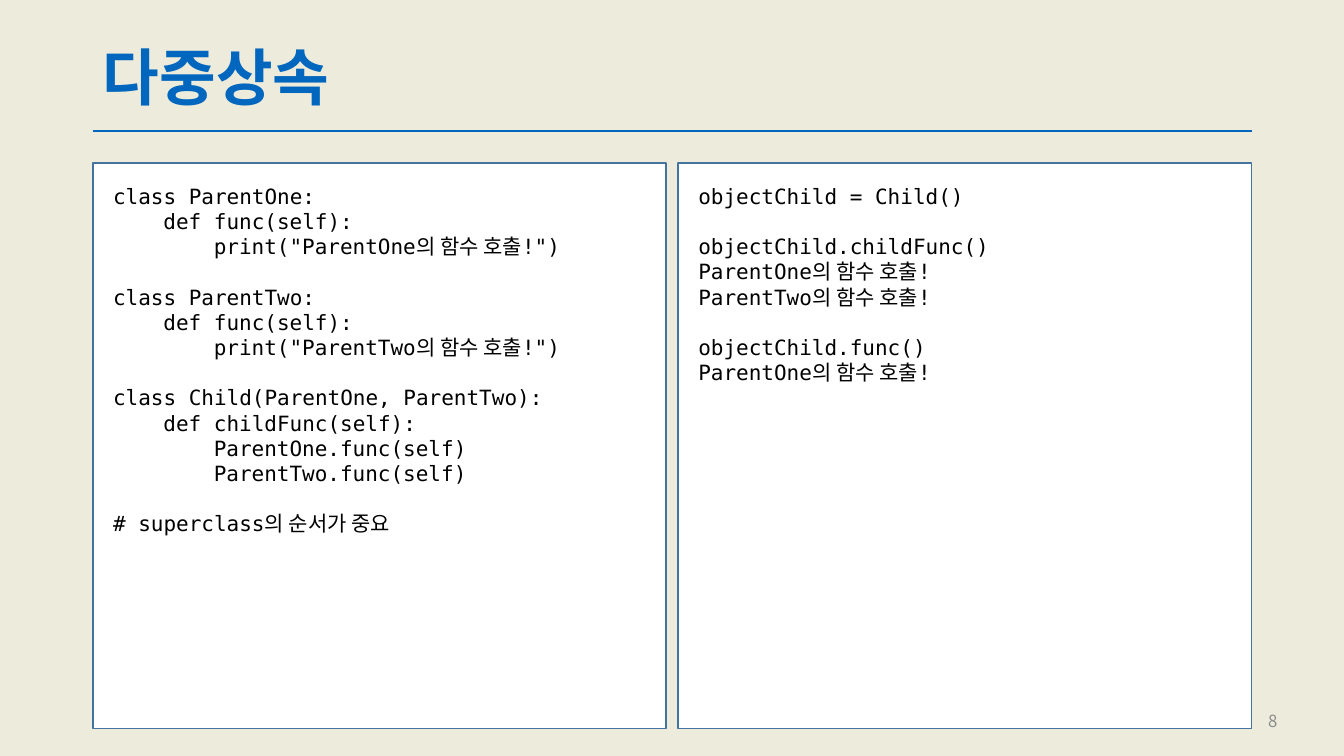
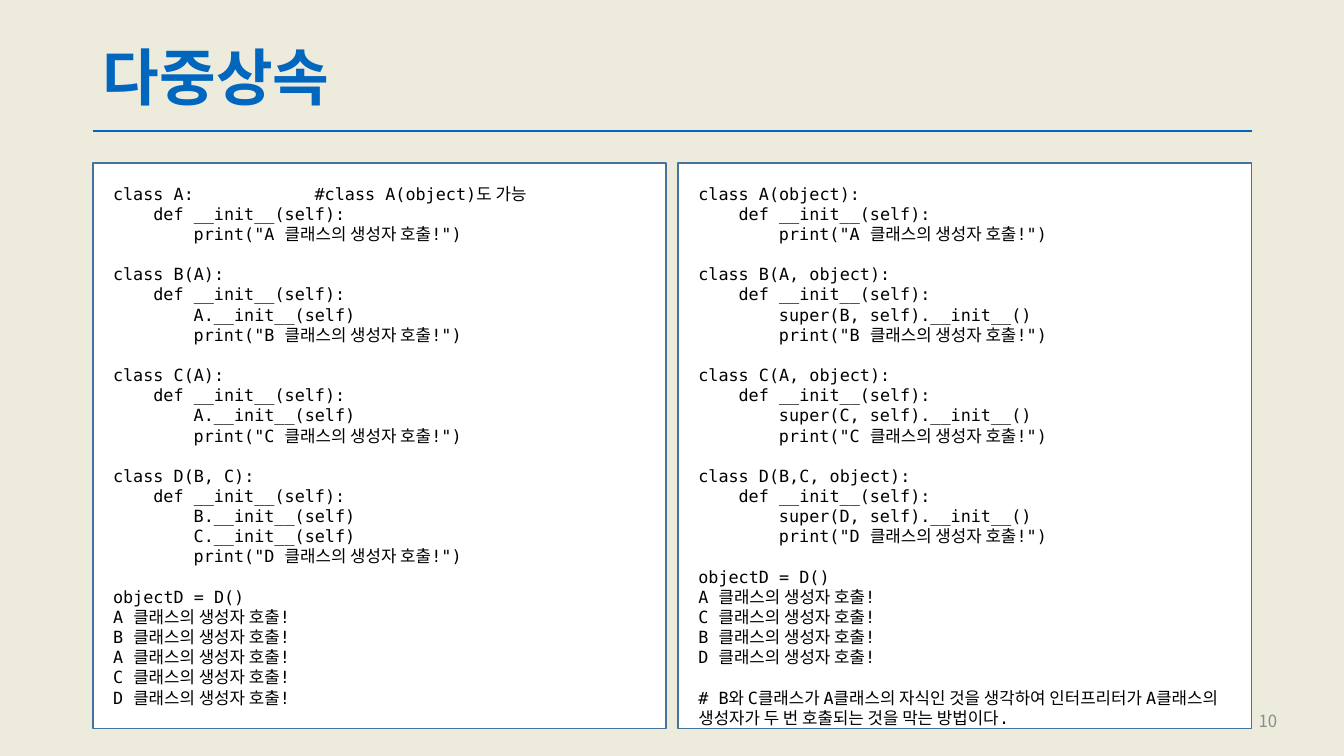
from dataclasses import dataclass

from lxml.etree import SubElement
from pptx import Presentation
from pptx.dml.color import RGBColor
from pptx.enum.shapes import MSO_CONNECTOR, MSO_SHAPE
from pptx.enum.text import MSO_ANCHOR, PP_ALIGN
from pptx.oxml.ns import qn
from pptx.util import Cm, Pt


# Shared look
@dataclass(frozen=True)
class Theme:
    background: RGBColor = RGBColor.from_string("ECEBDC")
    accent: RGBColor = RGBColor.from_string("0066BE")
    panel_fill: RGBColor = RGBColor.from_string("FFFFFF")
    panel_edge: RGBColor = RGBColor.from_string("43739E")
    code: RGBColor = RGBColor.from_string("000000")
    page_number: RGBColor = RGBColor.from_string("8C8C8C")
    text_font: str = "Noto Sans CJK KR"
    code_font: str = "DejaVu Sans Mono"
    title_size: int = 44
    number_size: int = 12
    code_line: float = 1.2
    code_char: float = 0.6


THEME = Theme()

# Shared grid
LEFT = Cm(2.34)
CONTENT_WIDTH = Cm(29.2)
RULE_Y = Cm(3.3)
PANEL_TOP = Cm(4.11)
PANEL_HEIGHT = Cm(14.25)
PANEL_GAP = Cm(0.3)
PANEL_WIDTH = (CONTENT_WIDTH - PANEL_GAP) // 2
PANEL_INSET = Cm(0.51)
COMMENT_TAB = Cm(5.08)
INDENT_CHARS = 4

# Slide content: a blank line parts two blocks, four spaces are one indent
TITLE = "다중상속"

PARENTS_CODE = """class ParentOne:
    def func(self):
        print("ParentOne의 함수 호출!")

class ParentTwo:
    def func(self):
        print("ParentTwo의 함수 호출!")

class Child(ParentOne, ParentTwo):
    def childFunc(self):
        ParentOne.func(self)
        ParentTwo.func(self)

# superclass의 순서가 중요"""

PARENTS_OUTPUT = """objectChild = Child()

objectChild.childFunc()
ParentOne의 함수 호출!
ParentTwo의 함수 호출!

objectChild.func()
ParentOne의 함수 호출!"""

SUPER_NOTE = ("# B와 C클래스가 A클래스의 자식인 것을 생각하여 인터프리터가 "
              "A클래스의 생성자가 두 번 호출되는 것을 막는 방법이다.")


def call_message(name):
    return f"{name} 클래스의 생성자 호출!"


def class_code(header, *calls):
    name = header[0]
    body = [*calls, f'print("{call_message(name)}")']
    lines = [f"class {header}", "    def __init__(self):"]
    return "\n".join(lines + [f"        {step}" for step in body])


def output_code(order):
    return "\n".join(["objectD = D()", *map(call_message, order)])


def direct_calls_code():
    return "\n\n".join([
        class_code("A:\t#class A(object)도 가능").replace(
            "print", "print", 1),
        class_code("B(A):", "A.__init__(self)"),
        class_code("C(A):", "A.__init__(self)"),
        class_code("D(B, C):", "B.__init__(self)", "C.__init__(self)"),
        output_code("ABACD"),
    ])


def super_calls_code():
    children = ["B(A, object):", "C(A, object):", "D(B,C, object):"]
    return "\n\n".join([
        class_code("A(object):"),
        *(class_code(child, f"super({child[0]}, self).__init__()")
          for child in children),
        output_code("ACBD"),
        SUPER_NOTE,
    ])


# Formatting helpers
def apply_format(target, values):
    for name, value in values.items():
        setattr(target, name, value)


def add_run(paragraph, text, font, size, color, bold=False):
    run = paragraph.add_run()
    run.text = text
    apply_format(run.font, {"name": font, "size": Pt(size), "bold": bold})
    run.font.color.rgb = color
    east_asian = SubElement(run.font._element, qn("a:ea"))
    east_asian.set("typeface", THEME.text_font)


def add_label(slide, box, text, size, color, bold=False, **paragraph_format):
    frame = slide.shapes.add_textbox(*box).text_frame
    apply_format(frame, {"word_wrap": True,
                         "vertical_anchor": MSO_ANCHOR.MIDDLE})
    paragraph = frame.paragraphs[0]
    apply_format(paragraph, paragraph_format)
    add_run(paragraph, text, THEME.text_font, size, color, bold)


def add_rule(slide):
    rule = slide.shapes.add_connector(
        MSO_CONNECTOR.STRAIGHT, LEFT, RULE_Y, LEFT + CONTENT_WIDTH, RULE_Y)
    rule.line.color.rgb = THEME.accent
    rule.line.width = Pt(1.5)
    SubElement(rule._element.spPr, qn("a:effectLst"))


def add_code_line(paragraph, line, size, starts_block):
    line_height = Pt(size * THEME.code_line)
    apply_format(paragraph, {
        "alignment": PP_ALIGN.LEFT,
        "line_spacing": line_height,
        "space_before": line_height if starts_block else Pt(0),
    })
    text = line.lstrip(" ")
    depth = (len(line) - len(text)) // INDENT_CHARS
    indent = Pt(depth * INDENT_CHARS * THEME.code_char * size)
    properties = paragraph._p.get_or_add_pPr()
    properties.set("marL", str(indent))
    if "\t" in text:
        stops = SubElement(properties, qn("a:tabLst"))
        SubElement(stops, qn("a:tab"), pos=str(COMMENT_TAB), algn="l")
    add_run(paragraph, text, THEME.code_font, size, THEME.code)


def add_code_panel(slide, column, code, size):
    left = LEFT + column * (PANEL_WIDTH + PANEL_GAP)
    panel = slide.shapes.add_shape(
        MSO_SHAPE.RECTANGLE, left, PANEL_TOP, PANEL_WIDTH, PANEL_HEIGHT)
    panel.shadow.inherit = False
    panel.fill.solid()
    panel.fill.fore_color.rgb = THEME.panel_fill
    panel.line.color.rgb = THEME.panel_edge
    panel.line.width = Pt(1)

    frame = panel.text_frame
    apply_format(frame, {"word_wrap": True, "vertical_anchor": MSO_ANCHOR.TOP})
    apply_format(frame, {f"margin_{side}": PANEL_INSET
                         for side in ("left", "top", "right", "bottom")})
    paragraph = frame.paragraphs[0]
    for block_index, block in enumerate(code.split("\n\n")):
        for line_index, line in enumerate(block.split("\n")):
            if block_index or line_index:
                paragraph = frame.add_paragraph()
            add_code_line(paragraph, line, size,
                          starts_block=block_index > 0 and line_index == 0)


def add_code_slide(deck, number, code_size, panels):
    slide = deck.slides.add_slide(deck.slide_layouts[6])
    add_rule(slide)
    add_label(slide, (LEFT, Cm(1.02), CONTENT_WIDTH, Cm(2.03)), TITLE,
              THEME.title_size, THEME.accent, bold=True, line_spacing=0.9)
    add_label(slide, (Cm(24.82), Cm(17.65), Cm(7.62), Cm(1.02)), str(number),
              THEME.number_size, THEME.page_number, alignment=PP_ALIGN.RIGHT)
    for column, code in enumerate(panels):
        add_code_panel(slide, column, code, code_size)


def main():
    deck = Presentation()
    apply_format(deck, {"slide_width": Cm(33.87), "slide_height": Cm(19.05)})
    background = deck.slide_master.background.fill
    background.solid()
    background.fore_color.rgb = THEME.background

    add_code_slide(deck, 8, 15, [PARENTS_CODE, PARENTS_OUTPUT])
    add_code_slide(deck, 10, 12, [direct_calls_code(), super_calls_code()])
    deck.save("out.pptx")


main()
